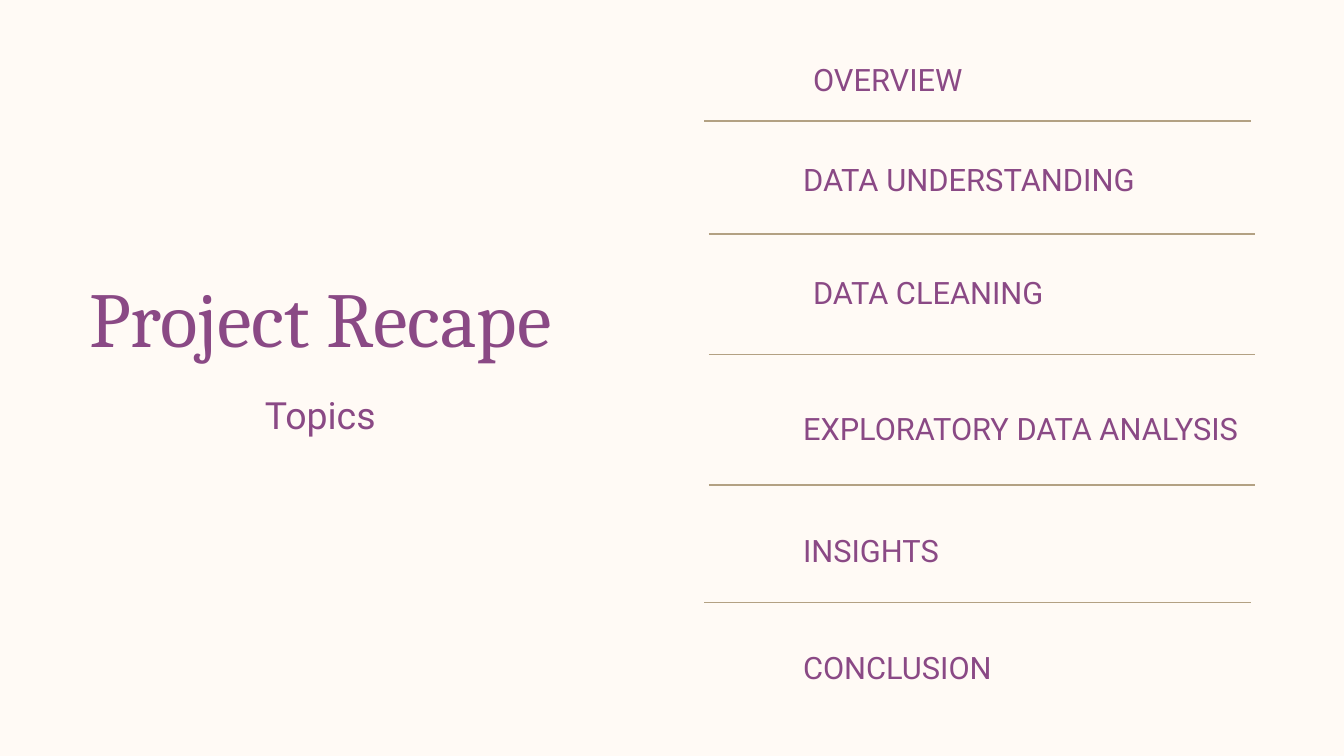
from dataclasses import dataclass

from lxml.etree import SubElement
from pptx import Presentation
from pptx.dml.color import RGBColor
from pptx.enum.shapes import MSO_CONNECTOR
from pptx.enum.text import MSO_ANCHOR, MSO_AUTO_SIZE, PP_ALIGN
from pptx.oxml.ns import qn
from pptx.shapes.autoshape import Shape
from pptx.slide import Slide
from pptx.util import Inches, Pt

COLORS = {"background": "FFFAF5", "plum": "8A4985", "rule": "B3A183"}
SLIDE_WIDTH, SLIDE_HEIGHT = 20, 11.25
COLUMNS, ROWS = 100, 100
HEADING_LEFT, HEADING_WIDTH = 3.55, 40.55
RULE_WIDTH = 40.65
TOPIC_HEIGHT = 5.51


@dataclass(frozen=True)
class Topic:
    label: str
    row: float
    column: float = 59.75
    width: float = 27.65
    size: float = 33
    leading: float = 46.2


@dataclass(frozen=True)
class Divider:
    row: float
    column: float = 52.75


TOPICS = [
    Topic("OVERVIEW", 7.2, column=60.5),
    Topic("DATA UNDERSTANDING", 20.44, width=29.1, size=33.1, leading=46.4),
    Topic("DATA CLEANING", 35.38, column=60.5),
    Topic("EXPLORATORY DATA ANALYSIS", 53.42, width=40),
    Topic("INSIGHTS", 69.51),
    Topic("CONCLUSION", 84.98),
]
DIVIDERS = [
    Divider(16, column=52.4),
    Divider(30.93),
    Divider(46.93),
    Divider(64.18),
    Divider(79.73, column=52.4),
]


def across(columns: float) -> int:
    return Inches(SLIDE_WIDTH * columns / COLUMNS)


def down(rows: float) -> int:
    return Inches(SLIDE_HEIGHT * rows / ROWS)


def write(holder: Shape, text: str, *, size: float, leading: float,
          font: str = "Roboto", align: PP_ALIGN = PP_ALIGN.LEFT) -> None:
    frame = holder.text_frame
    frame.word_wrap = True
    frame.auto_size = MSO_AUTO_SIZE.SHAPE_TO_FIT_TEXT
    frame.vertical_anchor = MSO_ANCHOR.TOP
    frame.margin_left = frame.margin_right = 0
    frame.margin_top = frame.margin_bottom = 0
    paragraph = frame.paragraphs[0]
    paragraph.alignment = align
    paragraph.line_spacing = Pt(leading)
    run = paragraph.add_run()
    run.text = text
    run.font.name = font
    run.font.size = Pt(size)
    run.font.color.rgb = RGBColor.from_string(COLORS["plum"])


def draw_heading(slide: Slide) -> None:
    title = slide.shapes.title
    title.left, title.top = across(HEADING_LEFT), down(37.87)
    title.width, title.height = across(HEADING_WIDTH), down(11.11)
    write(title, "Project Recape", size=83.3, leading=82.5,
          font="Cambria", align=PP_ALIGN.CENTER)
    subtitle = slide.shapes.add_textbox(
        across(HEADING_LEFT), down(50.93), across(HEADING_WIDTH), down(6.49))
    write(subtitle, "Topics", size=40.1, leading=56.1, align=PP_ALIGN.CENTER)


def draw_topic(slide: Slide, topic: Topic) -> None:
    entry = slide.shapes.add_textbox(
        across(topic.column), down(topic.row),
        across(topic.width), down(TOPIC_HEIGHT))
    write(entry, topic.label, size=topic.size, leading=topic.leading)


def draw_divider(slide: Slide, divider: Divider) -> None:
    rule = slide.shapes.add_connector(
        MSO_CONNECTOR.STRAIGHT,
        across(divider.column), down(divider.row),
        across(divider.column + RULE_WIDTH), down(divider.row))
    rule.line.color.rgb = RGBColor.from_string(COLORS["rule"])
    rule.line.width = Pt(1.5)
    SubElement(rule.element.spPr, qn("a:effectLst"))


def main() -> None:
    deck = Presentation()
    deck.slide_width, deck.slide_height = Inches(SLIDE_WIDTH), Inches(SLIDE_HEIGHT)
    slide = deck.slides.add_slide(deck.slide_layouts.get_by_name("Title Only"))
    slide.background.fill.solid()
    slide.background.fill.fore_color.rgb = RGBColor.from_string(COLORS["background"])
    draw_heading(slide)
    for divider in DIVIDERS:
        draw_divider(slide, divider)
    for topic in TOPICS:
        draw_topic(slide, topic)
    deck.save("out.pptx")


if __name__ == "__main__":
    main()
